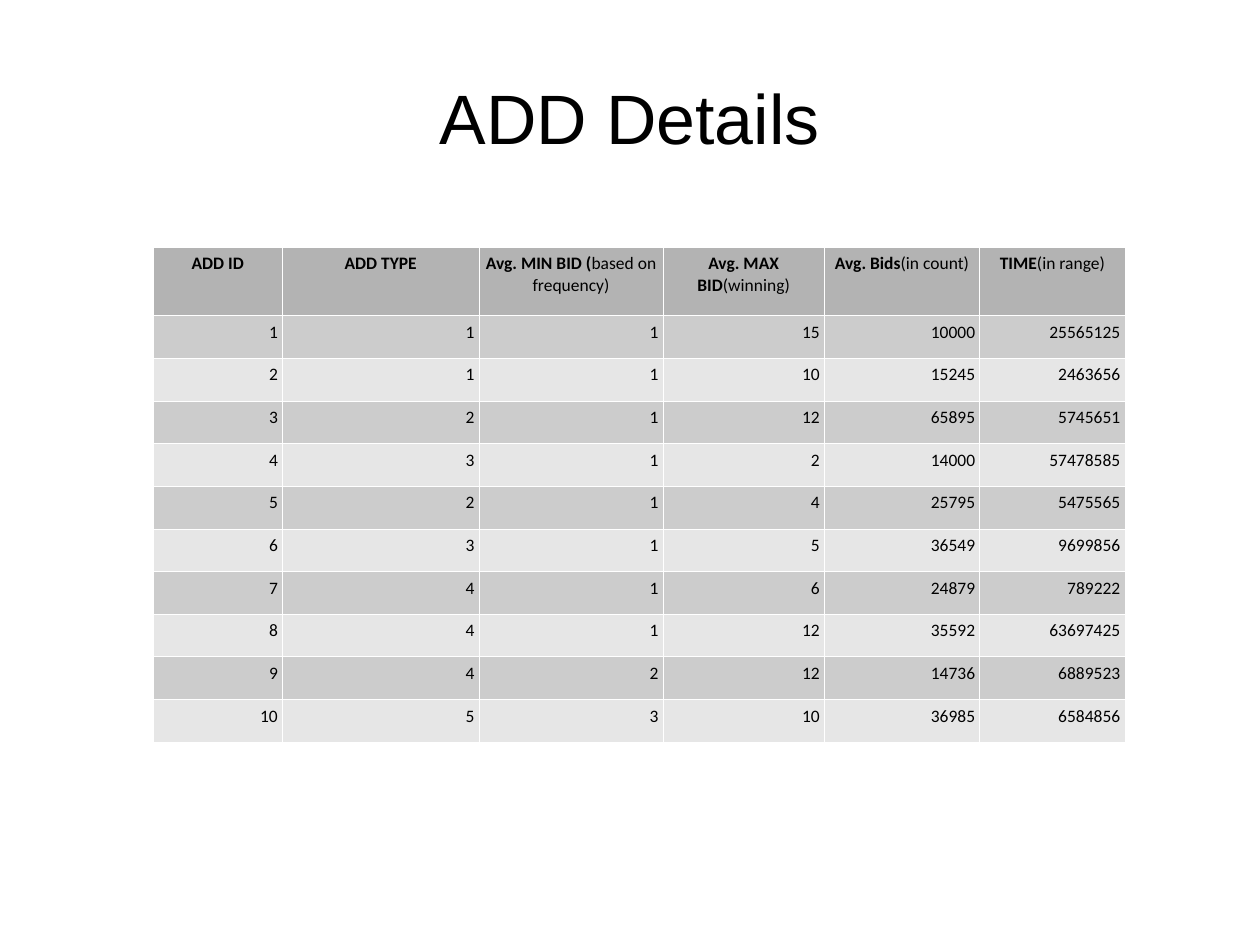
from lxml.etree import SubElement
from pptx import Presentation
from pptx.dml.color import RGBColor
from pptx.enum.text import MSO_ANCHOR as Anchor, PP_ALIGN as Align
from pptx.oxml.ns import qn
from pptx.util import Inches, Pt

WIDTH, HEIGHT = 11.02, 8.27
COLORS = {"text": "000000", "header": "B3B3B3", "odd": "CCCCCC",
          "even": "E6E6E6", "border": "FFFFFF"}
COLUMN_WIDTHS = [1.13, 1.72, 1.61, 1.41, 1.36, 1.27]
HEADER_HEIGHT = 0.6
HEADERS = [("ADD ID", ""), ("ADD TYPE", ""),
           ("Avg. MIN BID (", "based on frequency)"),
           ("Avg. MAX BID", "(winning)"),
           ("Avg. Bids", "(in count)"), ("TIME", "(in range)")]
ADDS = [
    (1, 1, 1, 15, 10000, 25565125),
    (2, 1, 1, 10, 15245, 2463656),
    (3, 2, 1, 12, 65895, 5745651),
    (4, 3, 1, 2, 14000, 57478585),
    (5, 2, 1, 4, 25795, 5475565),
    (6, 3, 1, 5, 36549, 9699856),
    (7, 4, 1, 6, 24879, 789222),
    (8, 4, 1, 12, 35592, 63697425),
    (9, 4, 2, 12, 14736, 6889523),
    (10, 5, 3, 10, 36985, 6584856),
]


def write(paragraph, text, font="Calibri", size=11, bold=False, align=Align.CENTER):
    """Append a formatted run to a paragraph."""
    paragraph.alignment = align
    run = paragraph.add_run()
    run.text = text
    run.font.name, run.font.size, run.font.bold = font, Pt(size), bold
    run.font.color.rgb = RGBColor.from_string(COLORS["text"])


def style_cell(cell, color):
    """Set the margins, borders and fill of a cell."""
    cell.margin_left = cell.margin_right = Inches(0.04)
    cell.margin_top = cell.margin_bottom = Inches(0.05)
    properties = cell._tc.get_or_add_tcPr()
    for side in ("lnL", "lnR", "lnT", "lnB"):
        border = SubElement(properties, qn(f"a:{side}"), w=str(Pt(0.57)))
        fill = SubElement(border, qn("a:solidFill"))
        SubElement(fill, qn("a:srgbClr"), val=COLORS["border"])
    cell.fill.solid()
    cell.fill.fore_color.rgb = RGBColor.from_string(COLORS[color])


def add_title(slide, left, top, width, height):
    """Place the centred title in its box."""
    title = slide.shapes.add_textbox(*map(Inches, (left, top, width, height)))
    frame = title.text_frame
    frame.word_wrap = True
    frame.vertical_anchor = Anchor.MIDDLE
    frame.margin_left = frame.margin_right = frame.margin_top = frame.margin_bottom = 0
    write(frame.paragraphs[0], "ADD Details", font="Arial", size=44)


def add_details(slide, left, top, width, height):
    """Place the table of adds, with its header and striped rows, in its box."""
    table = slide.shapes.add_table(len(ADDS) + 1, len(HEADERS),
                                   *map(Inches, (left, top, width, height))).table
    for column, share in zip(table.columns, COLUMN_WIDTHS):
        column.width = Inches(width * share / sum(COLUMN_WIDTHS))
    for row in table.rows:
        row.height = Inches((height - HEADER_HEIGHT) / len(ADDS))
    table.rows[0].height = Inches(HEADER_HEIGHT)

    for cell, (label, note) in zip(table.rows[0].cells, HEADERS):
        style_cell(cell, "header")
        write(cell.text_frame.paragraphs[0], label, bold=True)
        if note:
            write(cell.text_frame.paragraphs[0], note)
    for number, values in enumerate(ADDS, 1):
        for cell, value in zip(table.rows[number].cells, values):
            style_cell(cell, "odd" if number % 2 else "even")
            write(cell.text_frame.paragraphs[0], str(value), align=Align.RIGHT)


def main():
    """Build and save the slide."""
    deck = Presentation()
    deck.slide_width, deck.slide_height = Inches(WIDTH), Inches(HEIGHT)
    slide = deck.slides.add_slide(deck.slide_layouts[6])
    add_title(slide, WIDTH * 0.05, HEIGHT * 0.04, WIDTH * 0.9, 1.38)
    add_details(slide, 1.34, 2.16, sum(COLUMN_WIDTHS), 4.33)
    deck.save("out.pptx")


if __name__ == "__main__":
    main()
